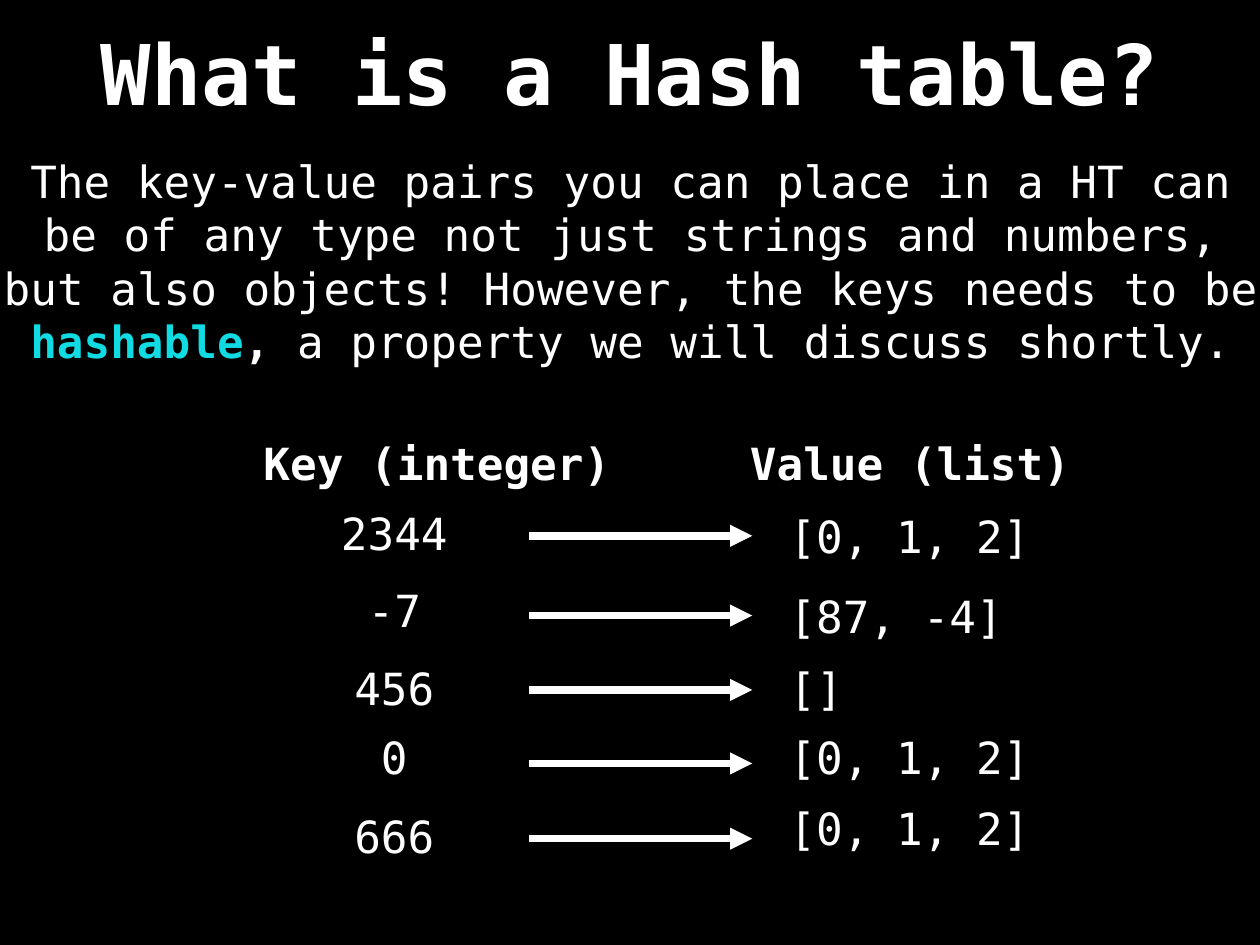
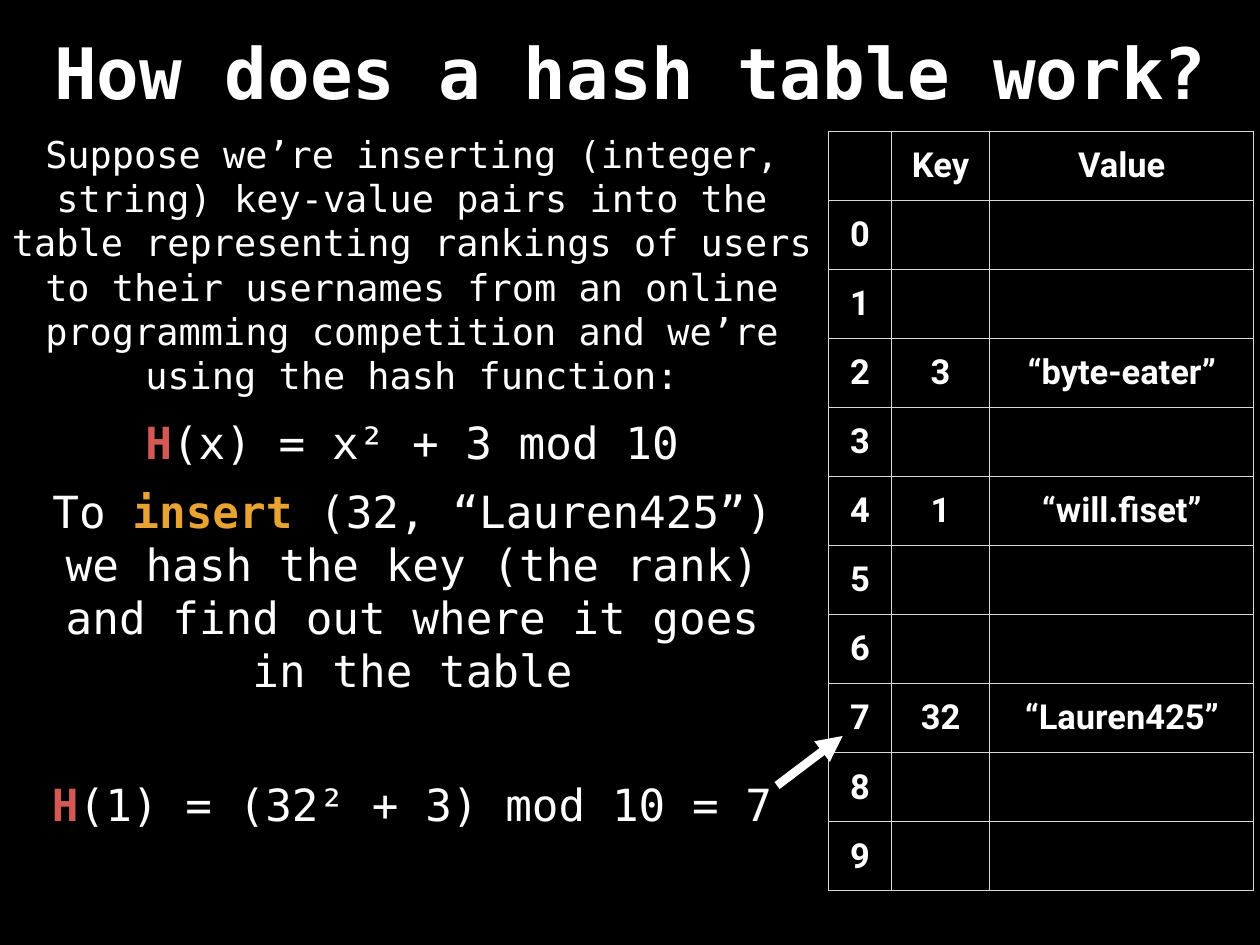
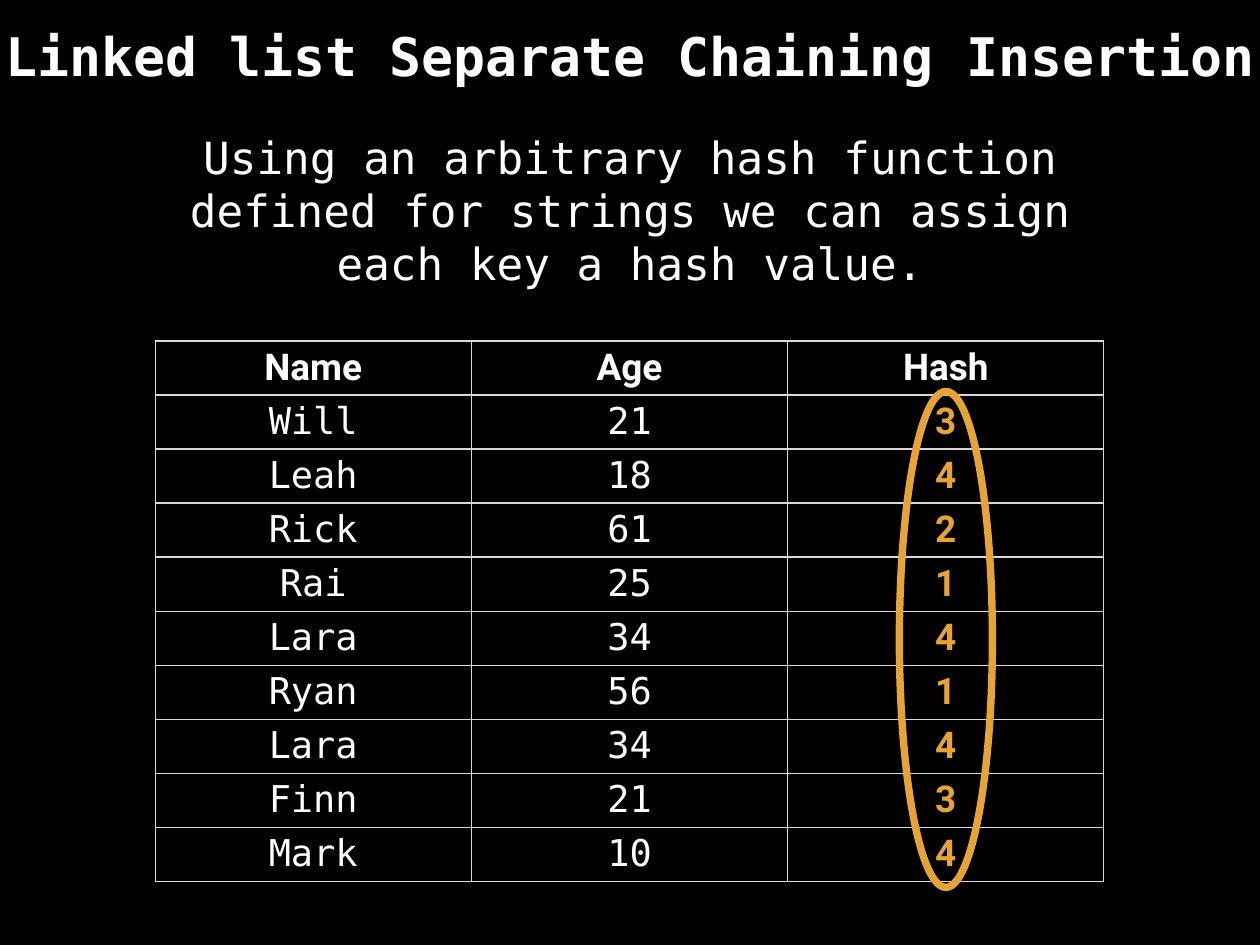
from dataclasses import dataclass

from lxml.etree import SubElement
from pptx import Presentation
from pptx.dml.color import RGBColor
from pptx.enum.shapes import MSO_CONNECTOR, MSO_SHAPE
from pptx.enum.text import MSO_ANCHOR, MSO_AUTO_SIZE, PP_ALIGN
from pptx.oxml import parse_xml
from pptx.oxml.ns import nsdecls, qn
from pptx.util import Inches, Pt


@dataclass(frozen=True)
class Theme:
    """Colours, fonts and sizes shared by all slides."""

    black: str = "000000"
    white: str = "FFFFFF"
    cyan: str = "11DBE2"
    red: str = "D45854"
    orange: str = "E8A432"
    grid: str = "D6D7D6"
    mono: str = "DejaVu Sans Mono"
    sans: str = "Roboto"
    body: float = 36
    small: float = 30
    cell: float = 28
    stroke: float = 6
    inset: float = 0.06
    cell_inset: float = 0.05
    label_slack: float = 0.05
    label_height: float = 0.68


class Deck:
    """Draws styled elements on the current slide."""

    def __init__(self, theme):
        self.t = theme
        self.prs = Presentation()
        self.prs.slide_width = Inches(14.22)
        self.prs.slide_height = Inches(10.67)
        fill = self.prs.slide_master.background.fill
        fill.solid()
        fill.fore_color.rgb = RGBColor.from_string(theme.black)
        self.s = None

    def slide(self, title, size, at):
        """Starts a slide with its title."""
        self.s = self.prs.slides.add_slide(self.prs.slide_layouts[6])
        self.text(title, at, size, bold=True, wrap=False, grow=False)

    def style(self, font, size=None, name=None, color=None, bold=None):
        """Sets the given font properties."""
        if size:
            font.size = Pt(size)
        if name:
            font.name = name
        if color:
            font.color.rgb = RGBColor.from_string(color)
        if bold is not None:
            font.bold = bold

    def text(self, runs, at, size=None, bold=False, align=PP_ALIGN.CENTER, wrap=True, grow=True):
        """Adds a text box from a string or a list of (text, colour, bold) runs."""
        tf = self.s.shapes.add_textbox(*map(Inches, at)).text_frame
        tf.word_wrap = wrap
        tf.auto_size = MSO_AUTO_SIZE.SHAPE_TO_FIT_TEXT if grow else MSO_AUTO_SIZE.NONE
        tf.vertical_anchor = MSO_ANCHOR.MIDDLE
        tf.margin_left = tf.margin_right = tf.margin_top = tf.margin_bottom = Inches(self.t.inset)
        p = tf.paragraphs[0]
        p.alignment = align
        self.style(p.font, size or self.t.body, self.t.mono, self.t.white, bold)
        for content, color, strong in [(runs, None, None)] if isinstance(runs, str) else runs:
            r = p.add_run()
            r.text = content
            self.style(r.font, color=color, bold=strong)

    def label(self, runs, x, top, bold=False, align=PP_ALIGN.CENTER):
        """Adds one unwrapped line, centred on x or starting at x."""
        count = len(runs) if isinstance(runs, str) else sum(len(run[0]) for run in runs)
        width = count * 0.602 * self.t.body / 72 + 2 * self.t.inset + self.t.label_slack
        left = x - width / 2 if align == PP_ALIGN.CENTER else x
        self.text(runs, (left, top, width, self.t.label_height), bold=bold, align=align, wrap=False)

    def arrow(self, start, end, width=None):
        """Adds a straight white arrow."""
        sp = self.s.shapes.add_connector(MSO_CONNECTOR.STRAIGHT, *map(Inches, (*start, *end)))
        sp.line.width = Pt(width or self.t.stroke)
        sp.line.color.rgb = RGBColor.from_string(self.t.white)
        SubElement(sp.line._get_or_add_ln(), qn("a:tailEnd"), type="triangle")
        SubElement(sp._element.spPr, qn("a:effectLst"))

    def ring(self, at, color):
        """Adds an unfilled ellipse."""
        sp = self.s.shapes.add_shape(MSO_SHAPE.OVAL, *map(Inches, at))
        sp.shadow.inherit = False
        sp.fill.background()
        sp.line.color.rgb = RGBColor.from_string(color)
        sp.line.width = Pt(self.t.stroke)

    def table(self, rows, left, top, widths, height, size, styles):
        """Adds a ruled table with a bold heading and one style per body column."""
        heading = (self.t.sans, self.t.white, True)
        frame = self.s.shapes.add_table(
            len(rows), len(widths), Inches(left), Inches(top),
            Inches(sum(widths)), Inches(height * len(rows)))
        table = frame.table
        table.first_row = table.horz_banding = False
        for column, width in zip(table.columns, widths):
            column.width = Inches(width)
        for i, values in enumerate(rows):
            table.rows[i].height = Inches(height)
            for j, value in enumerate(values):
                name, color, bold = styles[j] if i else heading
                cell = table.cell(i, j)
                cell.fill.background()
                cell.vertical_anchor = MSO_ANCHOR.MIDDLE
                cell.margin_left = cell.margin_right = Inches(self.t.inset)
                cell.margin_top = cell.margin_bottom = Inches(self.t.cell_inset)
                self.borders(cell)
                p = cell.text_frame.paragraphs[0]
                p.alignment = PP_ALIGN.CENTER
                self.style(p.font, size, name, color, bold)
                if value:
                    p.add_run().text = value

    def borders(self, cell):
        """Rules all four sides of a cell."""
        tcPr = cell._tc.get_or_add_tcPr()
        for i, side in enumerate("LRTB"):
            tcPr.insert(i, parse_xml(
                f'<a:ln{side} {nsdecls("a")} w="{Pt(1)}"><a:solidFill>'
                f'<a:srgbClr val="{self.t.grid}"/></a:solidFill></a:ln{side}>'))


def hash_table_slide(d):
    """Shows that keys and values can have any type."""
    d.slide("What is a Hash table?", 68, (1.04, 0.17, 12.14, 1.28))
    d.text([
        ("The key-value pairs you can place in a HT can be of any type not just strings and "
         "numbers, but also objects! However, the keys needs to be ", None, None),
        ("hashable", d.t.cyan, True),
        (",", None, True),
        (" a property we will discuss shortly.", None, None),
    ], (-0.16, 1.75, 14.55, 2.39))
    d.label("Key (integer)", 4.93, 4.88, bold=True)
    d.label("Value (list)", 10.27, 4.88, bold=True)
    pairs = [
        ("2344", 5.68, 6.05, "[0, 1, 2]", 5.71),
        ("-7", 6.55, 6.95, "[87, -4]", 6.61),
        ("456", 7.42, 7.79, "[]", 7.42),
        ("0", 8.21, 8.62, "[0, 1, 2]", 8.21),
        ("666", 9.1, 9.47, "[0, 1, 2]", 9.01),
    ]
    for key, key_top, arrow_y, value, value_top in pairs:
        d.label(key, 4.45, key_top)
        d.arrow((5.97, arrow_y), (8.49, arrow_y))
        d.label(value, 8.85, value_top, align=PP_ALIGN.LEFT)


def insertion_slide(d):
    """Shows a key hashed to its table row."""
    t = d.t
    d.slide("How does a hash table work?", 57.6, (0.48, 0.16, 13.27, 1.28))
    entries = {2: ("3", "“byte-eater”"), 4: ("1", "“will.fiset”"), 7: ("32", "“Lauren425”")}
    rows = [("", "Key", "Value")]
    rows += [(str(i), *entries.get(i, ("", ""))) for i in range(10)]
    d.table(rows, 9.35, 1.48, (0.71, 1.11, 2.98), 0.78, t.cell, [(t.sans, t.white, True)] * 3)
    d.text("Suppose we’re inserting (integer, string) key-value pairs into the table representing "
           "rankings of users to their usernames from an online programming competition and "
           "we’re using the hash function:", (0.06, 1.47, 9.18, 3.03), t.small)
    d.label([("H", t.red, True), ("(x) = x² + 3 mod 10", None, None)], 4.65, 4.65)
    d.text([
        ("To ", None, None),
        ("insert", t.orange, True),
        (" (32, “Lauren425”) we hash the key (the rank) and find out where it goes in the table",
         None, None),
    ], (0.46, 5.47, 8.39, 2.39))
    d.label([("H", t.red, True), ("(1) = (32² + 3) mod 10 = 7", None, None)], 4.65, 8.74)
    d.arrow((8.77, 8.87), (9.51, 8.31), 7)


def chaining_slide(d):
    """Lists the hash value of each key."""
    t = d.t
    d.slide("Linked list Separate Chaining Insertion", 43.2, (0, -0.03, 14.22, 1.3))
    d.text("Using an arbitrary hash function defined for strings we can assign each key "
           "a hash value.", (2, 1.46, 10.22, 1.82))
    rows = [
        ("Name", "Age", "Hash"),
        ("Will", "21", "3"),
        ("Leah", "18", "4"),
        ("Rick", "61", "2"),
        ("Rai", "25", "1"),
        ("Lara", "34", "4"),
        ("Ryan", "56", "1"),
        ("Lara", "34", "4"),
        ("Finn", "21", "3"),
        ("Mark", "10", "4"),
    ]
    plain = (t.mono, t.white, False)
    d.table(rows, 1.75, 3.85, (3.57,) * 3, 0.61, t.small, [plain, plain, (t.sans, t.orange, True)])
    d.ring((10.15, 4.42, 1.05, 5.6), t.orange)


def main():
    """Builds and saves the slides."""
    d = Deck(Theme())
    hash_table_slide(d)
    insertion_slide(d)
    chaining_slide(d)
    d.prs.save("out.pptx")


if __name__ == "__main__":
    main()
